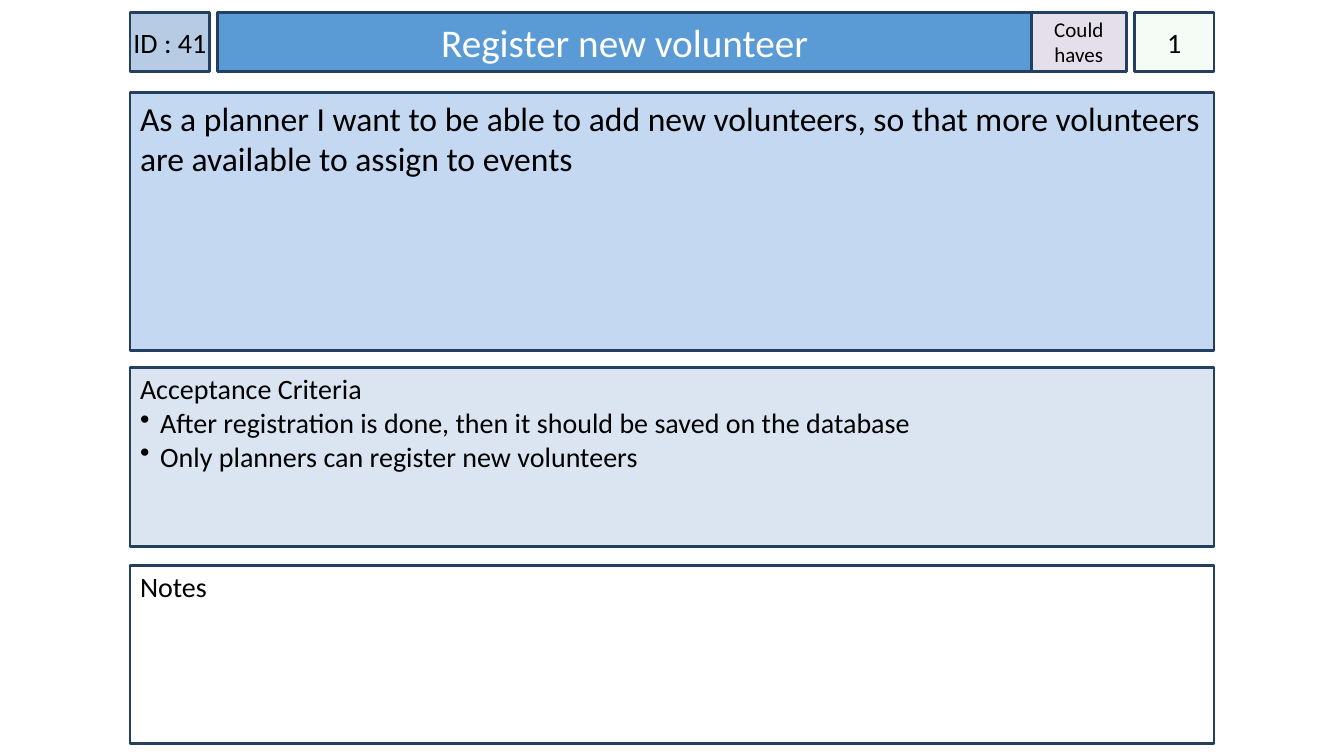
from lxml import etree
from pptx import Presentation
from pptx.dml.color import RGBColor
from pptx.enum.shapes import MSO_SHAPE
from pptx.enum.text import MSO_ANCHOR, PP_ALIGN
from pptx.oxml.ns import qn
from pptx.util import Inches, Pt

RECTANGLE = MSO_SHAPE.RECTANGLE
TOP, MIDDLE = MSO_ANCHOR.TOP, MSO_ANCHOR.MIDDLE
LEFT, CENTER = PP_ALIGN.LEFT, PP_ALIGN.CENTER

SLIDE_WIDTH, SLIDE_HEIGHT = 13.33, 7.5
CARD_LEFT, CARD_WIDTH = 1.29, 10.75
HEADER_TOP, HEADER_HEIGHT = 0.12, 0.59
BADGE_WIDTH, PRIORITY_WIDTH, HEADER_GAP = 0.79, 0.94, 0.08
BORDER, BLACK, WHITE = "244061", "000000", "FFFFFF"
FONT = "Calibri"


def color(value):
    return RGBColor.from_string(value)


def add_panel(slide, box, fill, lines, size, text_color=BLACK, align=LEFT,
              anchor=TOP, side_inset=0.1, top_inset=0.05):
    shape = slide.shapes.add_shape(RECTANGLE, *map(Inches, box))
    shape.shadow.inherit = False
    shape.fill.solid()
    shape.fill.fore_color.rgb = color(fill)
    shape.line.color.rgb = color(BORDER)
    shape.line.width = Pt(2)
    frame = shape.text_frame
    frame.word_wrap = True
    frame.vertical_anchor = anchor
    frame.margin_left = frame.margin_right = Inches(side_inset)
    frame.margin_top, frame.margin_bottom = Inches(top_inset), Inches(0.05)
    frame.text = "\n".join(lines)
    for paragraph in frame.paragraphs:
        paragraph.alignment = align
        paragraph.font.name = FONT
        paragraph.font.size = Pt(size)
        paragraph.font.color.rgb = color(text_color)
    return shape


def set_opacity(shape, percent):
    fill_color = shape.fill._xPr.find(qn("a:solidFill"))[0]
    etree.SubElement(fill_color, qn("a:alpha"), val=str(percent * 1000))


def add_bullet(paragraph, indent=0.2):
    properties = paragraph._p.get_or_add_pPr()
    properties.set("marL", str(Inches(indent)))
    properties.set("indent", str(-Inches(indent)))
    bullet = etree.Element(qn("a:buChar"), char="•")
    properties.insert_element_before(bullet, "a:tabLst", "a:defRPr", "a:extLst")


def add_header(slide, box, story_id, title, priority, points):
    left, top, width, height = box
    right = left + width
    title_left = left + BADGE_WIDTH + HEADER_GAP
    points_left = right - BADGE_WIDTH
    priority_left = points_left - HEADER_GAP - PRIORITY_WIDTH

    def add_cell(cell_left, cell_width, fill, text, size, text_color=BLACK, side_inset=0):
        return add_panel(slide, (cell_left, top, cell_width, height), fill, [text], size,
                         text_color, CENTER, MIDDLE, side_inset)

    add_cell(left, BADGE_WIDTH, "B7CCE4", story_id, 20)
    add_cell(title_left, priority_left - title_left, "5B9BD5", title, 28, WHITE, 0.1)
    set_opacity(add_cell(points_left, BADGE_WIDTH, "CCF0CD", points, 20), 20)
    add_cell(priority_left, PRIORITY_WIDTH, "E5DFEC", priority, 15)


def add_story(slide, box, text):
    add_panel(slide, box, "C5D8F1", [text], 24)


def add_criteria(slide, box, heading, criteria):
    shape = add_panel(slide, box, "DAE5F1", [heading, *criteria], 20, top_inset=0.04)
    for paragraph in shape.text_frame.paragraphs[1:]:
        add_bullet(paragraph)


def add_notes_area(slide, box, heading):
    add_panel(slide, box, WHITE, [heading], 20, top_inset=0.04)


def add_story_card(presentation):
    slide = presentation.slides.add_slide(presentation.slide_layouts[6])

    def card_row(top, height):
        return CARD_LEFT, top, CARD_WIDTH, height

    add_header(slide, card_row(HEADER_TOP, HEADER_HEIGHT),
               "ID : 41", "Register new volunteer", "Could haves", "1")
    add_story(slide, card_row(0.92, 2.56),
              "As a planner I want to be able to add new volunteers, "
              "so that more volunteers are available to assign to events")
    add_criteria(slide, card_row(3.65, 1.77), "Acceptance Criteria",
                 ["After registration is done, then it should be saved on the database",
                  "Only planners can register new volunteers"])
    add_notes_area(slide, card_row(5.61, 1.77), "Notes")


def main():
    presentation = Presentation()
    presentation.slide_width = Inches(SLIDE_WIDTH)
    presentation.slide_height = Inches(SLIDE_HEIGHT)
    add_story_card(presentation)
    presentation.save("out.pptx")


if __name__ == "__main__":
    main()
